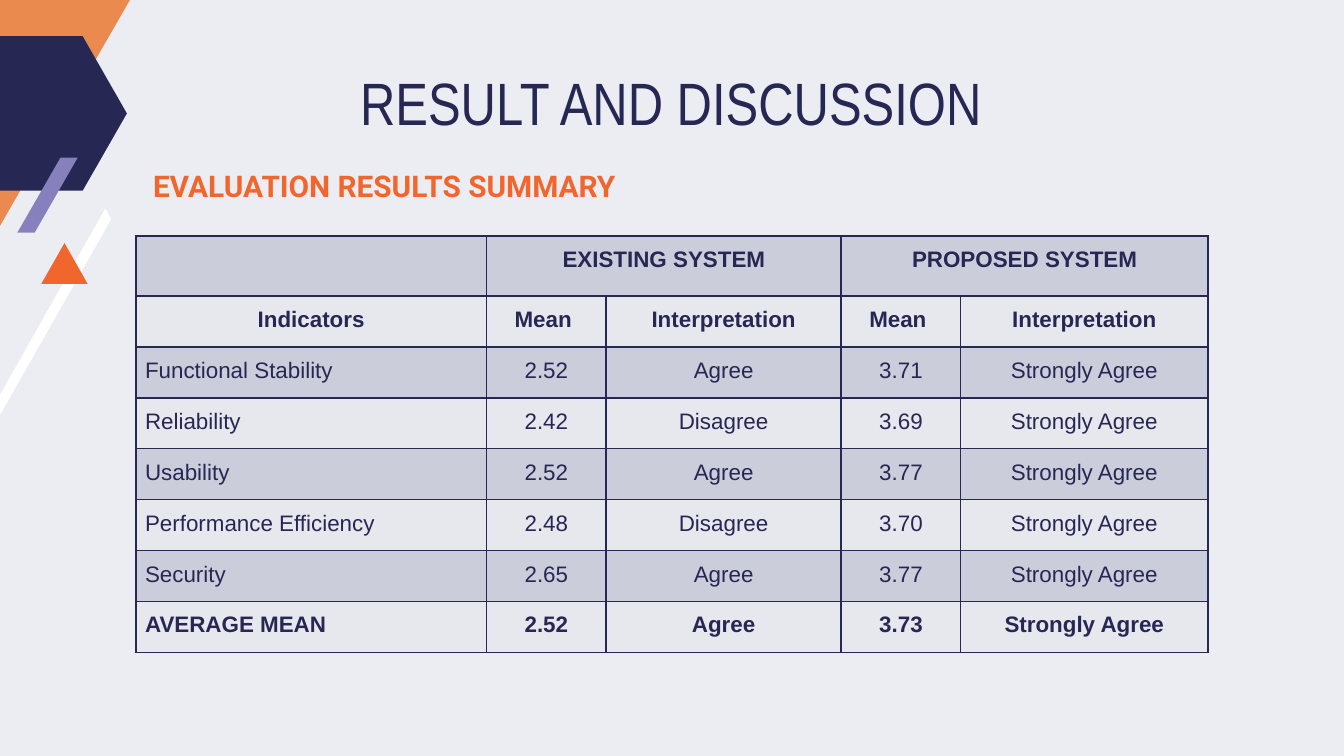
from dataclasses import dataclass

import pptx
import pptx.dml.color
import pptx.enum.shapes
import pptx.enum.text
import pptx.oxml
import pptx.oxml.ns
import pptx.util

Pt = pptx.util.Pt
Align = pptx.enum.text.PP_ALIGN
Anchor = pptx.enum.text.MSO_ANCHOR

NAVY, ORANGE, APRICOT, VIOLET, WHITE = "272753", "F1662D", "EA8A4F", "8680BC", "FFFFFF"
BACKGROUND = "ECEDF3"
ROW_FILLS = ("CBCDDB", "E7E8EE")


@dataclass
class Outline:
    points: list[tuple[float, float]]
    color: str


@dataclass
class Style:
    size: float
    font: str
    color: str
    bold: bool = False


def paint(fill, color: str) -> None:
    fill.solid()
    fill.fore_color.rgb = pptx.dml.color.RGBColor.from_string(color)


def finish(shape, color: str) -> None:
    shape.shadow.inherit = False
    paint(shape.fill, color)
    shape.line.fill.background()


def draw_outline(page, outline: Outline) -> None:
    start, *others = [(Pt(x), Pt(y)) for x, y in outline.points]
    builder = page.shapes.build_freeform(*start, scale=1.0)
    builder.add_line_segments(others, close=True)
    finish(builder.convert_to_shape(), outline.color)


def write(frame, text: str, style: Style, align) -> None:
    para = frame.paragraphs[0]
    para.alignment = align
    span = para.add_run()
    span.text = text
    span.font.size = Pt(style.size)
    span.font.name = style.font
    span.font.bold = style.bold
    span.font.color.rgb = pptx.dml.color.RGBColor.from_string(style.color)


def set_frame(frame, inset: float, anchor) -> None:
    frame.word_wrap = True
    frame.auto_size = pptx.enum.text.MSO_AUTO_SIZE.NONE
    frame.vertical_anchor = anchor
    frame.margin_left = frame.margin_right = Pt(inset)
    frame.margin_top = frame.margin_bottom = Pt(inset)


def place(box, left: float, top: float, width: float, height: float) -> None:
    box.left, box.top, box.width, box.height = Pt(left), Pt(top), Pt(width), Pt(height)


def add_borders(cell, color: str, width: float) -> None:
    properties = cell._tc.get_or_add_tcPr()
    for index, side in enumerate(("lnL", "lnR", "lnT", "lnB")):
        properties.insert(index, pptx.oxml.parse_xml(
            f'<a:{side} {pptx.oxml.ns.nsdecls("a")} w="{Pt(width)}"><a:solidFill>'
            f'<a:srgbClr val="{color}"/></a:solidFill></a:{side}>'))


def draw_table(page, rows: list[tuple[str, ...]], widths: list[float],
               left: float, top: float, row_height: float) -> None:
    table = page.shapes.add_table(
        len(rows), len(widths), Pt(left), Pt(top),
        Pt(sum(widths)), Pt(row_height * len(rows))).table
    table.first_row = table.horz_banding = False
    for column, width in zip(table.columns, widths):
        column.width = Pt(width)
    for r, row in enumerate(rows):
        table.rows[r].height = Pt(row_height)
        bold = r < 2 or r == len(rows) - 1
        for c, text in enumerate(row):
            cell = table.cell(r, c)
            cell.margin_left = cell.margin_right = Pt(5)
            cell.margin_top = cell.margin_bottom = Pt(5)
            paint(cell.fill, ROW_FILLS[r % 2])
            add_borders(cell, NAVY, 1)
            if text:
                align = Align.LEFT if c == 0 and r > 1 else Align.CENTER
                write(cell.text_frame, text, Style(12, "Arial", NAVY, bold), align)
                cell.text_frame.paragraphs[0].line_spacing = 1.07
    # Each system heading covers its mean and interpretation columns
    for c in (1, 3):
        table.cell(0, c).merge(table.cell(0, c + 1))


OUTLINES = {
    "corner": Outline([(0, 0), (69.6, 0), (0, 121)], APRICOT),
    "stripe": Outline([(-8.6, 226.8), (56.5, 111.6), (59.6, 117.4), (-5.8, 232.6)], WHITE),
    "triangle": Outline([(22.1, 152.1), (47, 152.1), (34.6, 130.2)], ORANGE),
    "bar": Outline([(32.4, 84.5), (9.3, 124.6), (18.6, 124.6), (41.6, 84.5)], VIOLET),
}

ROWS = [
    ("", "EXISTING SYSTEM", "", "PROPOSED SYSTEM", ""),
    ("Indicators", "Mean ", "Interpretation", "Mean ", "Interpretation"),
    ("Functional Stability", "2.52", "Agree", "3.71", "Strongly Agree"),
    ("Reliability", "2.42", "Disagree", "3.69", "Strongly Agree"),
    ("Usability", "2.52", "Agree", "3.77", "Strongly Agree"),
    ("Performance Efficiency", "2.48", "Disagree", "3.70", "Strongly Agree"),
    ("Security", "2.65", "Agree", "3.77", "Strongly Agree"),
    ("AVERAGE MEAN", "2.52", "Agree", "3.73", "Strongly Agree"),
]


def main() -> None:
    deck = pptx.Presentation()
    deck.slide_width, deck.slide_height = Pt(720), Pt(405)
    page = deck.slides.add_slide(deck.slide_layouts[5])
    paint(page.background.fill, BACKGROUND)

    # Corner decoration
    for name in ("corner", "stripe", "triangle"):
        draw_outline(page, OUTLINES[name])
    hexagon = page.shapes.add_shape(
        pptx.enum.shapes.MSO_SHAPE.HEXAGON, Pt(-25.6), Pt(19.4), Pt(93.6), Pt(82.8))
    hexagon.adjustments[0] = 0.286
    finish(hexagon, NAVY)
    draw_outline(page, OUTLINES["bar"])

    # Title and subtitle
    title = page.shapes.title
    place(title, 91.4, 28.1, 536.4, 45.4)
    set_frame(title.text_frame, 7.2, Anchor.TOP)
    write(title.text_frame, "RESULT AND DISCUSSION",
          Style(32, "Arial Narrow", NAVY), Align.CENTER)
    subtitle = page.shapes.add_textbox(Pt(74.9), Pt(85), Pt(514), Pt(31))
    set_frame(subtitle.text_frame, 7.2, Anchor.BOTTOM)
    write(subtitle.text_frame, "EVALUATION RESULTS SUMMARY",
          Style(16, "Roboto", ORANGE, True), Align.LEFT)

    # Evaluation table
    draw_table(page, ROWS, [188, 64, 126, 64, 132.5], 72.7, 126.5, 27.3)

    deck.save("out.pptx")


if __name__ == "__main__":
    main()
